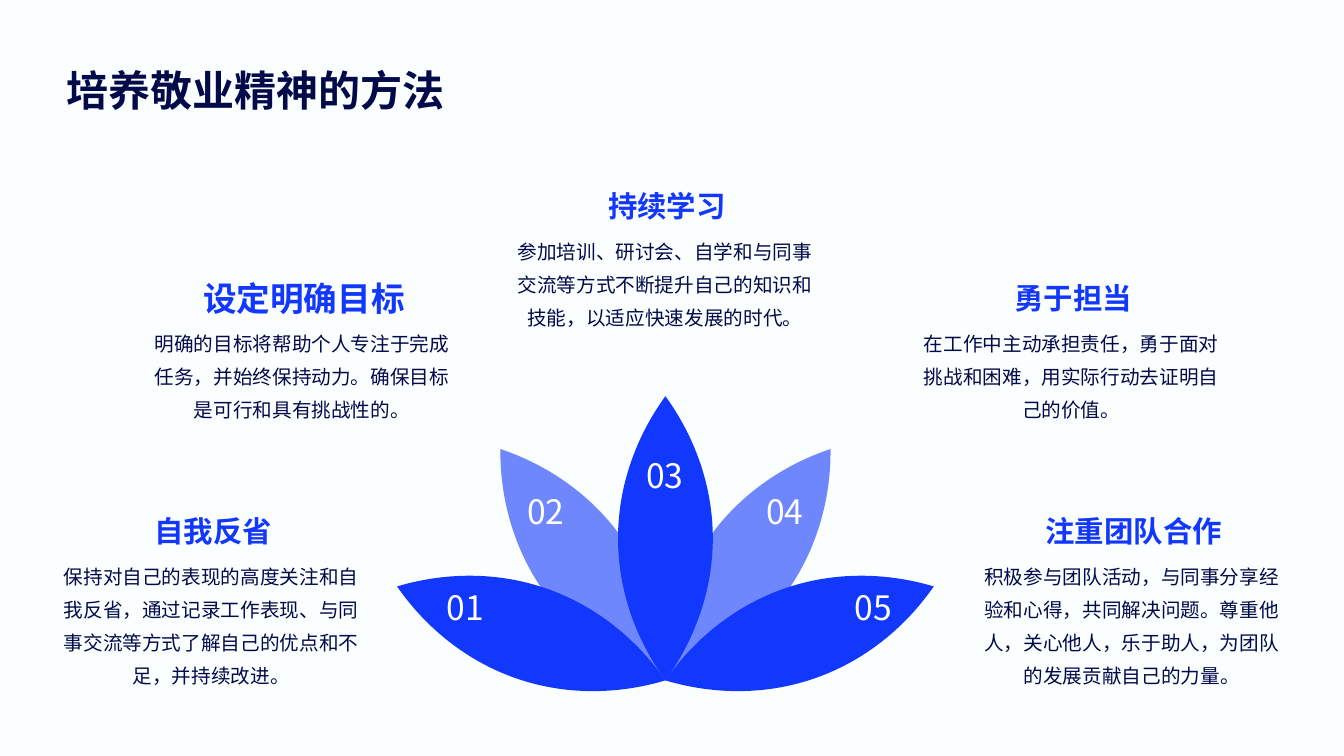
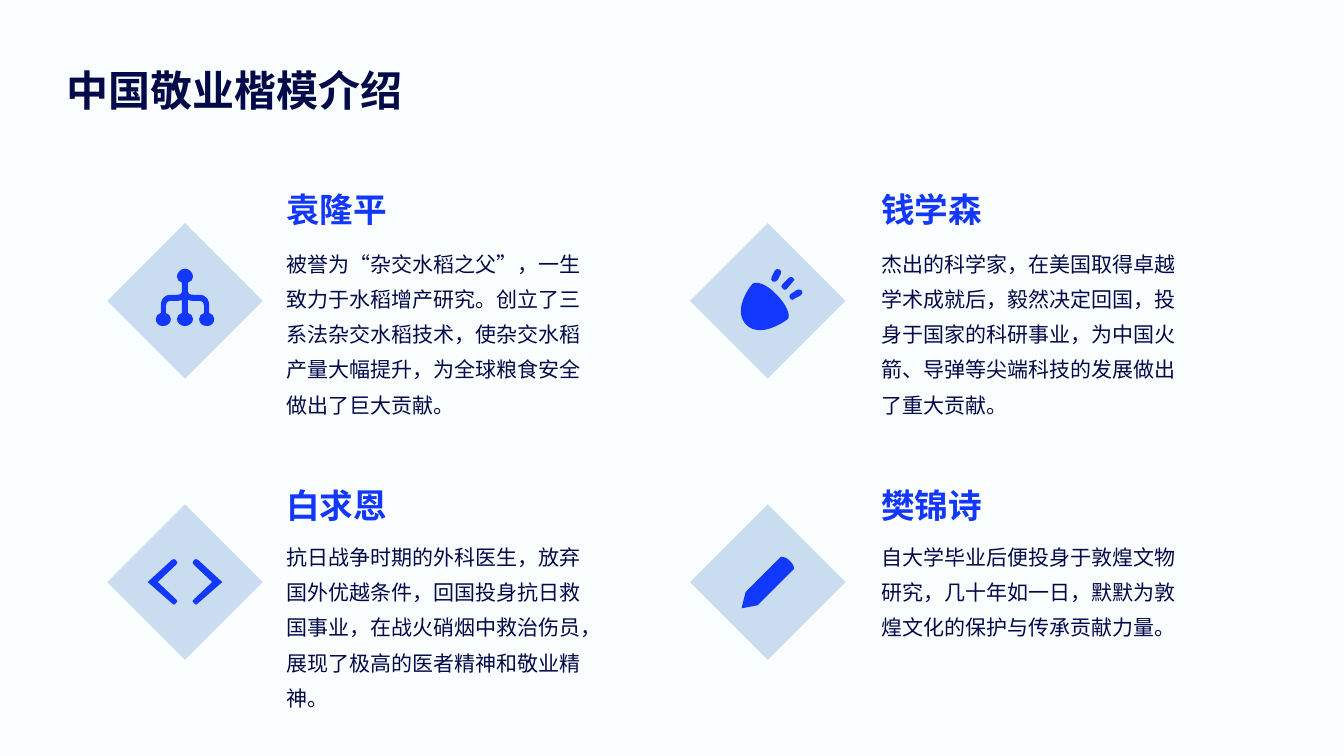
"""Two slides on professional dedication: a lotus of five methods and four role models."""
import math

from lxml import etree
from pptx import Presentation
from pptx import util as u
from pptx.dml.color import RGBColor
from pptx.enum import shapes, text
from pptx.oxml.ns import qn

COLORS = {"paper": "FBFEFF", "navy": "020A49", "blue": "1338FD",
          "pale": "CADDF0", "white": "FFFFFF"}
FONT = "Noto Sans CJK SC"
LABEL_INSETS = (0.07, 0.04, 0.07, 0.04)
CENTER, LEFT = text.PP_ALIGN.CENTER, text.PP_ALIGN.LEFT

METHODS_TITLE = "培养敬业精神的方法"
METHODS = [
    {"head": "自我反省", "size": 21, "at": (0.49, 4.96), "number": (4.15, 5.76),
     "body": "保持对自己的表现的高度关注和自我反省，通过记录工作表现、与同事交流等方式了解自己的优点和不足，并持续改进。"},
    {"head": "设定明确目标", "size": 24, "at": (1.39, 2.65), "number": (4.95, 4.81),
     "body": "明确的目标将帮助个人专注于完成任务，并始终保持动力。确保目标是可行和具有挑战性的。"},
    {"head": "持续学习", "size": 21, "at": (4.99, 1.74), "number": (6.13, 4.45),
     "body": "参加培训、研讨会、自学和与同事交流等方式不断提升自己的知识和技能，以适应快速发展的时代。"},
    {"head": "勇于担当", "size": 21, "at": (9.02, 2.65), "number": (7.32, 4.81),
     "body": "在工作中主动承担责任，勇于面对挑战和困难，用实际行动去证明自己的价值。"},
    {"head": "注重团队合作", "size": 21, "at": (9.62, 4.96), "number": (8.2, 5.76),
     "body": "积极参与团队活动，与同事分享经验和心得，共同解决问题。尊重他人，关心他人，乐于助人，为团队的发展贡献自己的力量。"},
]
LOTUS_BASE = (6.6, 6.75)
PETALS = [(70.7, 100), (35.5, 60), (-70.7, 100), (-35.5, 60), (0, 100)]

MODELS_TITLE = "中国敬业楷模介绍"
MODELS = [
    ("袁隆平", "被誉为“杂交水稻之父”，一生致力于水稻增产研究。创立了三系法杂交水稻技术，使杂交水稻产量大幅提升，为全球粮食安全做出了巨大贡献。", "tree"),
    ("钱学森", "杰出的科学家，在美国取得卓越学术成就后，毅然决定回国，投身于国家的科研事业，为中国火箭、导弹等尖端科技的发展做出了重大贡献。", "bell"),
    ("白求恩", "抗日战争时期的外科医生，放弃国外优越条件，回国投身抗日救国事业，在战火硝烟中救治伤员，展现了极高的医者精神和敬业精神。", "code"),
    ("樊锦诗", "自大学毕业后便投身于敦煌文物研究，几十年如一日，默默为敦煌文化的保护与传承贡献力量。", "pencil"),
]
DIAMOND_SIDE = 1.09
DIAMOND_X, TEXT_X = (1.29, 7.07), (2.77, 8.67)
DIAMOND_Y, HEAD_Y, BODY_Y = (2.44, 5.23), (1.76, 4.7), (2.35, 5.26)

PETAL = [(-47, -141), (-47, -89, -29, -40, 0, 0), (29, -40, 47, -89, 47, -141),
         (47, -193, 29, -242, 0, -282), (-29, -242, -47, -193, -47, -141)]
HALF_TREE = [
    (0, -32), (4, -32, 8, -28, 8, -24), (8, -21, 6, -19, 3, -18), (3, -9),
    (3, -8, 4, -6, 8, -6), (14, -6), (22, -6, 24, 0, 24, 5), (24, 12),
    (27, 13, 29, 15, 29, 18), (29, 22, 26, 25, 22, 25), (17, 25, 14, 22, 14, 18),
    (14, 15, 16, 13, 19, 12), (19, 5), (19, 3, 18, 0, 14, 0), (8, 0),
    (6, 0, 4, 0, 3, -1), (3, 12), (6, 13, 8, 15, 8, 18), (8, 22, 4, 25, 0, 25)]
BELL = [
    [(-15, -17), (-19, -13, -35, 10, -21, 24), (-7, 37, 16, 21, 20, 18),
     (23, 14, 18, 3, 9, -6), (0, -16, -11, -20, -15, -17)],
    [(17, -11), (18, -11, 19, -12, 19, -12), (25, -19), (27, -20, 27, -22, 25, -23),
     (24, -24, 22, -24, 21, -23), (15, -17), (13, -16, 13, -13, 15, -12),
     (15, -12, 16, -11, 17, -11)],
    [(5, -19), (6, -19, 6, -19, 7, -19), (8, -19, 9, -20, 10, -21), (13, -27),
     (14, -29, 13, -30, 12, -31), (10, -32, 8, -32, 7, -30), (4, -24),
     (3, -22, 3, -20, 5, -19)],
    [(34, -10), (33, -11, 31, -12, 29, -11), (23, -7), (21, -6, 21, -4, 22, -3),
     (22, -2, 23, -1, 25, -1), (25, -1, 26, -1, 26, -2), (32, -5),
     (34, -6, 35, -8, 34, -10)],
]
CHEVRON = [(-9, -22), (-10, -23, -12, -23, -13, -22), (-37, 0), (-13, 21),
           (-12, 23, -10, 23, -9, 21), (-7, 20, -7, 18, -9, 17), (-27, 0),
           (-9, -17), (-7, -18, -7, -20, -9, -22)]
PENCIL = [(22, -21), (17, -26, 13, -25, 13, -25), (-22, 10), (-26, 26), (-10, 23),
          (26, -13), (26, -13, 27, -16, 22, -21)]


def pairs(step):
    """Split a line (two numbers) or cubic curve (six numbers) into points."""
    return list(zip(step[::2], step[1::2]))


def mirror(outline):
    """Reflect an outline left to right."""
    return [sum(((-x, y) for x, y in pairs(step)), ()) for step in outline]


def backward(outline):
    """Run along an outline from its end to its start."""
    ends = [step[-2:] for step in outline]
    steps = [step[2:4] + step[:2] + end if len(step) == 6 else end
             for step, end in zip(outline[1:], ends)]
    return [ends[-1]] + steps[::-1]


def rotate(outline, degrees):
    """Turn an outline clockwise around the origin."""
    cos, sin = math.cos(math.radians(degrees)), math.sin(math.radians(degrees))
    return [sum(((x * cos - y * sin, x * sin + y * cos) for x, y in pairs(step)), ())
            for step in outline]


def paint(shape, color, opacity=100):
    """Give a shape a plain fill without line or shadow."""
    shape.shadow.inherit = False
    shape.line.fill.background()
    shape.fill.solid()
    shape.fill.fore_color.rgb = RGBColor.from_string(COLORS[color])
    if opacity < 100:
        tint = shape.fill._xPr.find(".//" + qn("a:srgbClr"))
        etree.SubElement(tint, qn("a:alpha"), val=str(opacity * 1000))


def bend(shape, outlines):
    """Join each three segments that stand for a cubic curve into one."""
    lines = iter(list(shape._element.iter(qn("a:lnTo"))))
    for step in (step for outline in outlines for step in outline[1:]):
        line = next(lines)
        if len(step) == 6:
            line.tag = qn("a:cubicBezTo")
            for _ in range(2):
                extra = next(lines)
                line.append(extra[0])
                extra.getparent().remove(extra)


def draw(slide, outlines, origin, opacity=100):
    """Draw outlines, in hundredths of an inch, around an origin as one freeform."""
    placed = [[(u.Inches(origin[0] + x / 100), u.Inches(origin[1] + y / 100))
               for step in outline for x, y in pairs(step)] for outline in outlines]
    builder = slide.shapes.build_freeform(*placed[0][0])
    for index, points in enumerate(placed):
        if index:
            builder.move_to(*points[0])
        builder.add_line_segments(points[1:], close=True)
    shape = builder.convert_to_shape()
    bend(shape, outlines)
    paint(shape, "blue", opacity)


def write(box, words, size, color="navy", bold=False, align=LEFT, spacing=1.4,
          before=0, middle=False, insets=LABEL_INSETS):
    """Put formatted words into a text box or placeholder."""
    frame = box.text_frame
    frame.word_wrap = True
    frame.auto_size = text.MSO_AUTO_SIZE.NONE
    frame.vertical_anchor = text.MSO_ANCHOR.MIDDLE if middle else text.MSO_ANCHOR.TOP
    (frame.margin_left, frame.margin_top,
     frame.margin_right, frame.margin_bottom) = map(u.Inches, insets)
    para = frame.paragraphs[0]
    para.alignment, para.line_spacing, para.space_before = align, spacing, u.Pt(before)
    span = para.add_run()
    span.text = words
    span.font.size, span.font.bold, span.font.name = u.Pt(size), bold, FONT
    span.font.color.rgb = RGBColor.from_string(COLORS[color])
    props = span._r.get_or_add_rPr()
    props.set("lang", "zh-CN")
    etree.SubElement(props, qn("a:ea"), typeface=FONT)


def label(slide, words, x, y, width, height, size, **style):
    """Add a text box with formatted words."""
    box = slide.shapes.add_textbox(*map(u.Inches, (x, y, width, height)))
    write(box, words, size, **style)


def heading(slide, words, x, y, width, size, align=LEFT):
    """Add a bold blue heading."""
    label(slide, words, x, y, width, 0.54, size, color="blue", bold=True,
          align=align, spacing=1.2, middle=True)


def start_deck():
    """Create the deck with its shared background and title position."""
    deck = Presentation()
    deck.slide_width, deck.slide_height = u.Inches(13.33), u.Inches(7.5)
    fill = deck.slide_master.background.fill
    fill.solid()
    fill.fore_color.rgb = RGBColor.from_string(COLORS["paper"])
    title = deck.slide_layouts[5].placeholders[0]
    title.left, title.top, title.width, title.height = map(u.Inches, (0.52, 0.29, 12.29, 1))
    return deck


def add_slide(deck, title):
    """Add a titled slide."""
    slide = deck.slides.add_slide(deck.slide_layouts[5])
    write(slide.shapes.title, title, 30, bold=True, middle=True,
          insets=(0.14, 0.14, 0.06, 0.14))
    return slide


def add_methods(deck):
    """Build the lotus slide."""
    slide = add_slide(deck, METHODS_TITLE)
    for degrees, opacity in PETALS:
        draw(slide, [rotate(PETAL, degrees)], LOTUS_BASE, opacity)
    for number, method in enumerate(METHODS, 1):
        x, y = method["at"]
        heading(slide, method["head"], x + 0.02, y, 3.21, method["size"], CENTER)
        label(slide, method["body"], x, y + 0.51, 3.21, 1.53, 14, align=CENTER)
        label(slide, f"{number:02}", *method["number"], 0.93, 0.53, 24, color="white",
              align=CENTER, spacing=1, before=3.8, middle=True,
              insets=(0.1, 0.05, 0.1, 0.05))


def add_models(deck):
    """Build the slide of four role models."""
    icons = {"tree": [HALF_TREE + mirror(backward(HALF_TREE))[1:]],
             "bell": BELL,
             "code": [CHEVRON, mirror(CHEVRON)],
             "pencil": [PENCIL]}
    slide = add_slide(deck, MODELS_TITLE)
    for index, (name, story, icon) in enumerate(MODELS):
        row, column = divmod(index, 2)
        x, y = DIAMOND_X[column], DIAMOND_Y[row]
        diamond = slide.shapes.add_shape(
            shapes.MSO_SHAPE.RECTANGLE,
            *map(u.Inches, (x, y, DIAMOND_SIDE, DIAMOND_SIDE)))
        diamond.rotation = 45
        paint(diamond, "pale")
        draw(slide, icons[icon], (x + DIAMOND_SIDE / 2, y + DIAMOND_SIDE / 2))
        heading(slide, name, TEXT_X[column], HEAD_Y[row], 3.71, 24)
        label(slide, story, TEXT_X[column], BODY_Y[row], 3.21, 1.81, 15)


def main():
    """Build and save the deck."""
    deck = start_deck()
    add_methods(deck)
    add_models(deck)
    deck.save("out.pptx")


if __name__ == "__main__":
    main()
